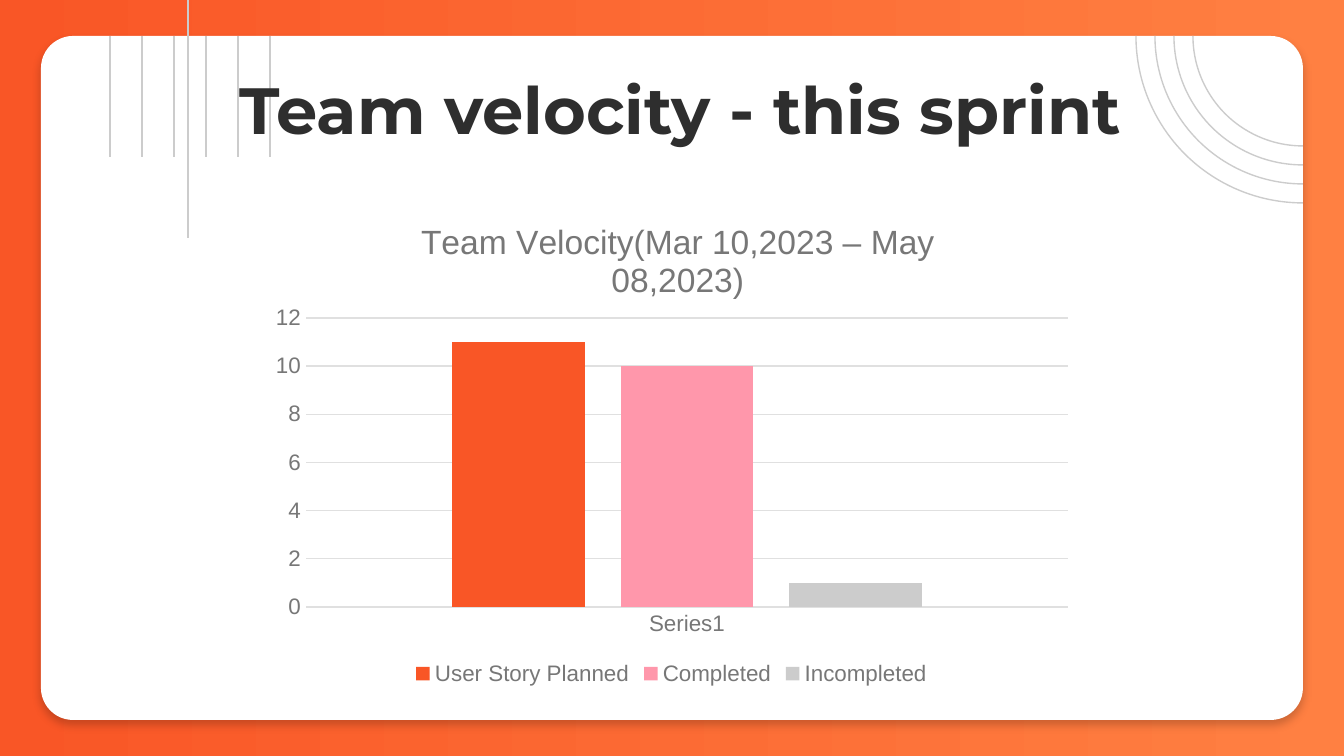
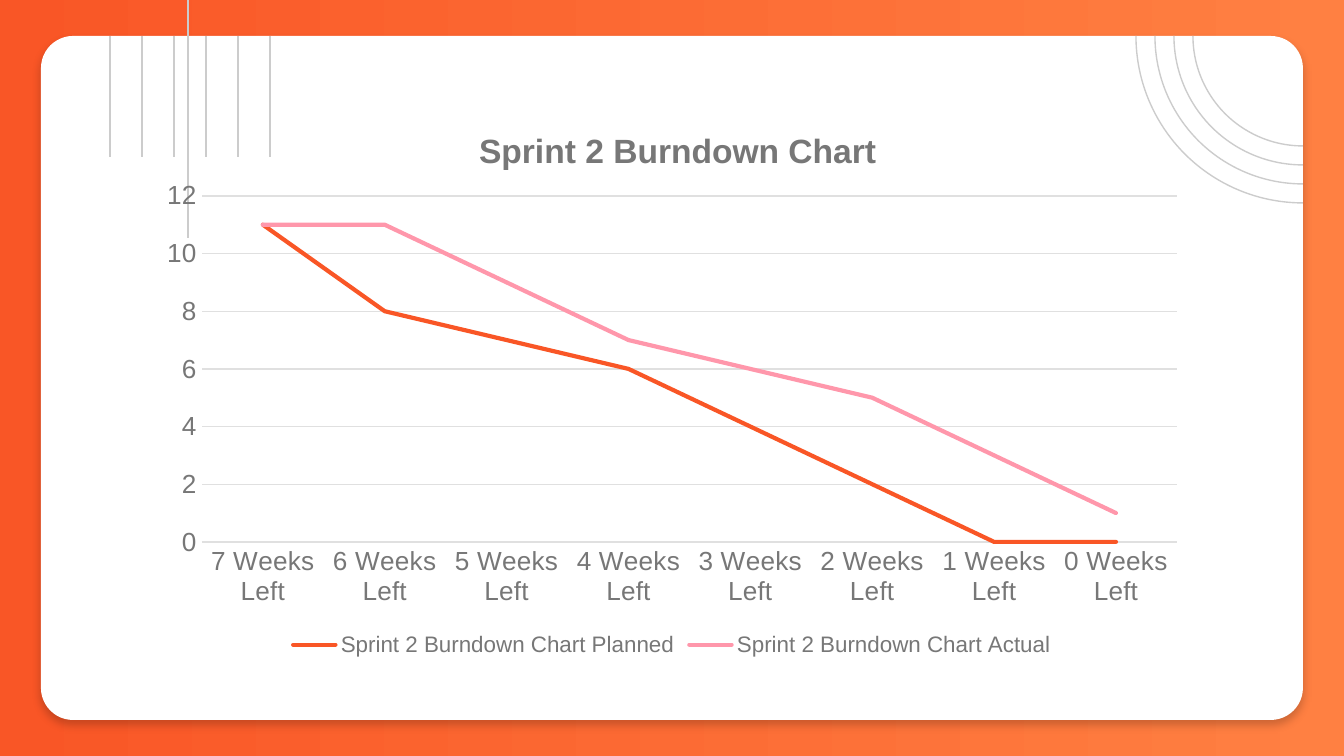
from lxml.etree import SubElement
from pptx import Presentation
from pptx.chart.data import CategoryChartData
from pptx.dml.color import RGBColor
from pptx.enum.chart import XL_CHART_TYPE, XL_LEGEND_POSITION, XL_MARKER_STYLE, XL_TICK_MARK
from pptx.enum.shapes import MSO_CONNECTOR, MSO_SHAPE
from pptx.enum.text import MSO_ANCHOR, PP_ALIGN
from pptx.oxml import parse_xml
from pptx.oxml.ns import nsdecls, qn
from pptx.util import Pt

EMU_PER_PX = 914400 / 134.4
SLIDE_W, SLIDE_H = 1344, 756
CARD = (41, 36, 1262, 684)
ORANGE, LIGHT_ORANGE, PINK = "F95626", "FF8042", "FF97AB"
WHITE, INK, GRAY = "FFFFFF", "2E2E2E", "777777"
RULE_GRAY, GRID_GRAY = "CCCCCC", "E0E0E0"
TITLE_FONT, CHART_FONT = "Montserrat", "Arial"


def px(*lengths):
    return [round(length * EMU_PER_PX) for length in lengths]


def rgb(color):
    return RGBColor.from_string(color)


def style_font(font, name, size, color, bold=False):
    font.name, font.size, font.bold = name, Pt(size), bold
    font.color.rgb = rgb(color)


def style_line(line, color, width=0.75):
    line.color.rgb = rgb(color)
    line.width = Pt(width)


def paint_background(slide):
    fill = slide.background.fill
    fill.gradient()
    fill.gradient_angle = 0
    for stop, color in zip(fill.gradient_stops, (ORANGE, LIGHT_ORANGE)):
        stop.color.rgb = rgb(color)


def add_card(slide):
    card = slide.shapes.add_shape(MSO_SHAPE.ROUNDED_RECTANGLE, *px(*CARD))
    card.adjustments[0] = 0.047
    card.fill.solid()
    card.fill.fore_color.rgb = rgb(WHITE)
    card.line.fill.background()
    card._element.spPr.append(parse_xml(
        f'<a:effectLst {nsdecls("a")}>'
        '<a:outerShdw blurRad="57150" dist="38100" dir="5400000" algn="bl" rotWithShape="0">'
        '<a:srgbClr val="000000"><a:alpha val="20000"/></a:srgbClr>'
        '</a:outerShdw></a:effectLst>'))


def add_corner_arc(slide, radius):
    center_x, center_y = CARD[0] + CARD[2], CARD[1]
    arc = slide.shapes.add_shape(
        MSO_SHAPE.ARC, *px(center_x - radius, center_y - radius, 2 * radius, 2 * radius))
    arc.adjustments[0], arc.adjustments[1] = 54, 108
    arc.shadow.inherit = False
    arc.fill.background()
    style_line(arc.line, RULE_GRAY)


def add_vertical_rule(slide, x, top, height):
    rule = slide.shapes.add_connector(MSO_CONNECTOR.STRAIGHT, *px(x, top, x, top + height))
    style_line(rule.line, RULE_GRAY)
    SubElement(rule._element.spPr, qn("a:effectLst"))


def add_framed_slide(deck):
    slide = deck.slides.add_slide(deck.slide_layouts[6])
    paint_background(slide)
    add_card(slide)
    for ring in range(4):
        add_corner_arc(slide, 110 + 19 * ring)
    for column in range(6):
        add_vertical_rule(slide, 110 + 32 * column, CARD[1], 121)
    for step in range(3):
        add_vertical_rule(slide, 188, 32 * step - 44, 218)
    return slide


def add_title(slide, text):
    title = slide.shapes.add_textbox(*px(106, 66, 1133, 85))
    frame = title.text_frame
    frame.word_wrap = True
    frame.vertical_anchor = MSO_ANCHOR.MIDDLE
    frame.margin_left, frame.margin_right, frame.margin_top, frame.margin_bottom = px(29, 13, 13, 13)
    paragraph = frame.paragraphs[0]
    paragraph.text = text
    paragraph.alignment = PP_ALIGN.CENTER
    style_font(paragraph.font, TITLE_FONT, 35, INK, True)


def set_layout(parent, position, settings):
    for old in parent.findall(qn("c:layout")):
        parent.remove(old)
    entries = "".join(f'<c:{key} val="{value}"/>' for key, value in settings.items())
    parent.insert(position, parse_xml(
        f'<c:layout {nsdecls("c")}><c:manualLayout>{entries}</c:manualLayout></c:layout>'))


def place_chart_parts(chart, box, title_at, plot_box):
    left, top, width, height = box

    def edges(x, y):
        return {"xMode": "edge", "yMode": "edge",
                "x": round((x - left) / width, 4), "y": round((y - top) / height, 4)}

    set_layout(chart.chart_title._element, 1, edges(*title_at))
    plot_x, plot_y, plot_w, plot_h = plot_box
    set_layout(chart._chartSpace.find(".//" + qn("c:plotArea")), 0, {
        "layoutTarget": "inner", **edges(plot_x, plot_y),
        "w": round(plot_w / width, 4), "h": round(plot_h / height, 4)})


def add_styled_chart(slide, kind, box, categories, series, title, title_bold, axis_size):
    data = CategoryChartData()
    data.categories = categories
    for name, values in series:
        data.add_series(name, values)
    chart = slide.shapes.add_chart(kind, *px(*box), data).chart
    style_font(chart.font, CHART_FONT, 10, INK)

    chart.has_title = True
    heading = chart.chart_title.text_frame.paragraphs[0]
    heading.text = title
    style_font(heading.font, CHART_FONT, 18, GRAY, title_bold)

    chart.has_legend = True
    chart.legend.position = XL_LEGEND_POSITION.BOTTOM
    chart.legend.include_in_layout = False
    style_font(chart.legend.font, CHART_FONT, 12, GRAY)

    weeks, stories = chart.category_axis, chart.value_axis
    for axis in (weeks, stories):
        axis.major_tick_mark = axis.minor_tick_mark = XL_TICK_MARK.NONE
        style_font(axis.tick_labels.font, CHART_FONT, axis_size, GRAY)
    style_line(weeks.format.line, GRID_GRAY)
    stories.format.line.fill.background()
    stories.has_major_gridlines = True
    style_line(stories.major_gridlines.format.line, GRID_GRAY)
    stories.minimum_scale, stories.maximum_scale, stories.major_unit = 0, 12, 2
    chart.plots[0].vary_by_categories = False
    return chart


def add_velocity_chart(slide):
    box = (259, 190, 825, 501)
    chart = add_styled_chart(
        slide, XL_CHART_TYPE.COLUMN_CLUSTERED, box, ["Series1"],
        [("User Story Planned", [11]), ("Completed", [10]), ("Incompleted", [1])],
        "Team Velocity(Mar 10,2023 – May 08,2023)", False, 12)
    place_chart_parts(chart, box, (415, 214), (306, 318, 762, 289))
    plot = chart.plots[0]
    plot.gap_width, plot.overlap = 219, -27
    for bars, color in zip(plot.series, (ORANGE, PINK, RULE_GRAY)):
        bars.format.fill.solid()
        bars.format.fill.fore_color.rgb = rgb(color)


def add_burndown_chart(slide):
    box = (146, 94, 1052, 568)
    chart = add_styled_chart(
        slide, XL_CHART_TYPE.LINE, box, [f"{week} Weeks Left" for week in range(7, -1, -1)],
        [("Sprint 2 Burndown Chart Planned", [11, 8, 7, 6, 4, 2, 0, 0]),
         ("Sprint 2 Burndown Chart Actual", [11, 11, 9, 7, 6, 5, 3, 1])],
        "Sprint 2 Burndown Chart", True, 14)
    place_chart_parts(chart, box, (473, 123), (202, 196, 975, 346))
    for trend, color in zip(chart.plots[0].series, (ORANGE, PINK)):
        trend.smooth = False
        trend.marker.style = XL_MARKER_STYLE.NONE
        style_line(trend.format.line, color, 2.25)
        trend.format.line._get_or_add_ln().set("cap", "rnd")


def main():
    deck = Presentation()
    deck.slide_width, deck.slide_height = px(SLIDE_W, SLIDE_H)

    velocity = add_framed_slide(deck)
    add_title(velocity, "Team velocity - this sprint")
    add_velocity_chart(velocity)

    add_burndown_chart(add_framed_slide(deck))
    deck.save("out.pptx")


if __name__ == "__main__":
    main()
